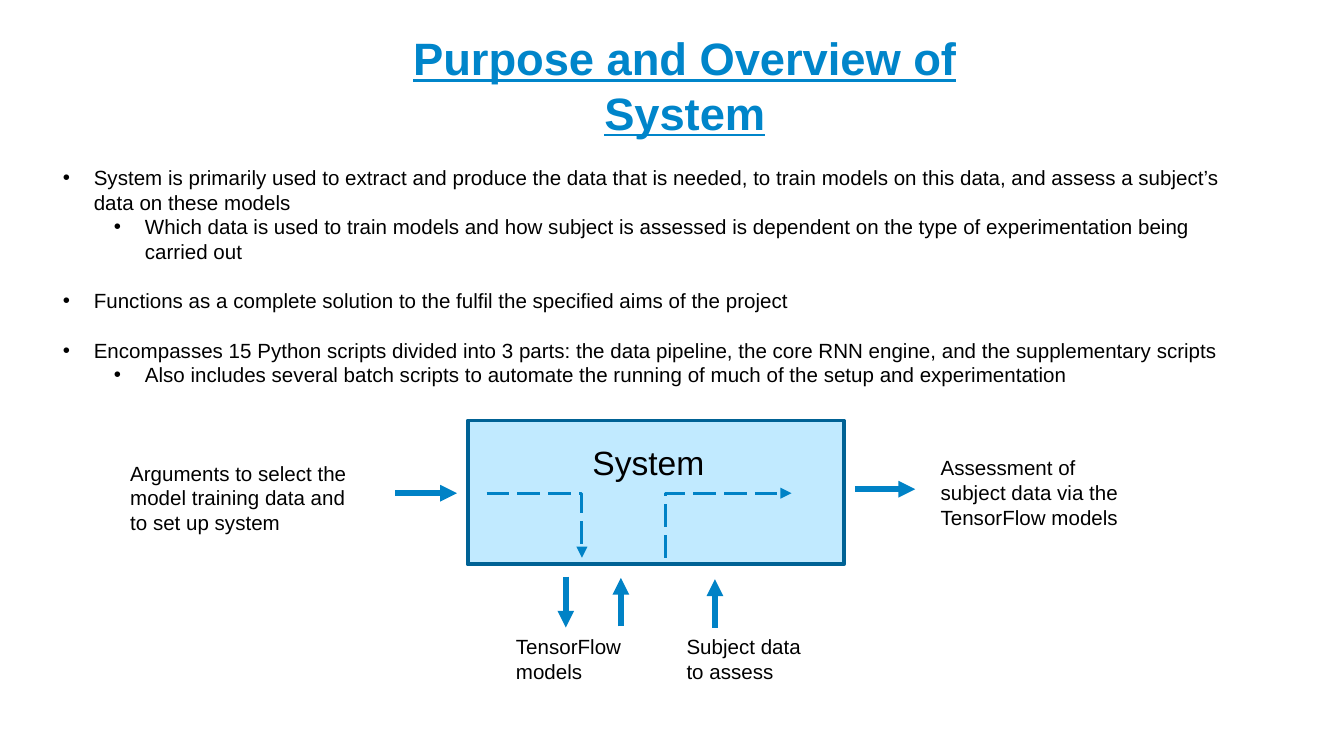
from lxml import etree
from pptx import Presentation
from pptx import util as u
from pptx.dml.color import RGBColor
from pptx.enum import dml, shapes, text
from pptx.oxml.ns import qn

BLACK = RGBColor(0x00, 0x00, 0x00)
TITLE_BLUE = RGBColor(0x00, 0x85, 0xCA)
ARROW_BLUE = RGBColor(0x00, 0x82, 0xC6)
BOX_FILL = RGBColor(0xC1, 0xEA, 0xFF)
BOX_EDGE = RGBColor(0x00, 0x62, 0x95)


class Deck:
    font = "Arial"
    body_size = 11

    def __init__(self, width, height):
        self.prs = Presentation()
        self.prs.slide_width = u.Inches(width)
        self.prs.slide_height = u.Inches(height)
        self.slide = self.prs.slides.add_slide(self.prs.slide_layouts[5])

    def run(self, paragraph, words, size, color=BLACK):
        run = paragraph.add_run()
        run.text = words
        run.font.name = self.font
        run.font.size = u.Pt(size)
        run.font.color.rgb = color
        return run

    def title(self, words, *box):
        title = self.slide.shapes.title
        title.left, title.top, title.width, title.height = map(u.Inches, box)
        frame = title.text_frame
        frame.margin_left = frame.margin_right = frame.margin_bottom = 0
        frame.margin_top = u.Inches(0.05)
        frame.vertical_anchor = text.MSO_ANCHOR.MIDDLE
        frame.auto_size = text.MSO_AUTO_SIZE.NONE
        frame.word_wrap = False
        frame.paragraphs[0].alignment = text.PP_ALIGN.CENTER
        run = self.run(frame.paragraphs[0], words, 24.3, TITLE_BLUE)
        run.font.bold = run.font.underline = True

    def frame(self, *box):
        frame = self.slide.shapes.add_textbox(*map(u.Inches, box)).text_frame
        frame.word_wrap = True
        return frame

    def label(self, words, *box, size=body_size):
        self.run(self.frame(*box).paragraphs[0], words, size)

    def bullets(self, items, *box):
        frame = self.frame(*box)
        for i, (level, gap, words) in enumerate(items):
            p = frame.paragraphs[0] if i == 0 else frame.add_paragraph()
            p.level = level
            p.space_before = u.Pt(gap)
            props = p._p.get_or_add_pPr()
            props.set("marL", str(u.Inches((0.23, 0.61)[level])))
            props.set("indent", str(u.Inches(-0.23)))
            etree.SubElement(props, qn("a:buFont"), typeface=self.font)
            etree.SubElement(props, qn("a:buChar"), char="•")
            self.run(p, words, self.body_size)

    def box(self, *box):
        shape = self.slide.shapes.add_shape(
            shapes.MSO_SHAPE.RECTANGLE, *map(u.Inches, box))
        shape.shadow.inherit = False
        shape.fill.solid()
        shape.fill.fore_color.rgb = BOX_FILL
        shape.line.color.rgb = BOX_EDGE
        shape.line.width = u.Pt(2)

    def arrow(self, *ends, bend=None):
        """Solid straight arrow, or a dashed elbow bending at a share of its width."""
        kind = shapes.MSO_CONNECTOR
        arrow = self.slide.shapes.add_connector(
            kind.STRAIGHT if bend is None else kind.ELBOW, *map(u.Inches, ends))
        arrow.line.color.rgb = ARROW_BLUE
        arrow.line.width = u.Pt(3 if bend is None else 1.5)
        props = arrow._element.spPr
        if bend is not None:
            arrow.line.dash_style = dml.MSO_LINE.LONG_DASH
            guides = props.find(qn("a:prstGeom")).get_or_add_avLst()
            etree.SubElement(guides, qn("a:gd"), name="adj1",
                             fmla=f"val {round(bend * 100000)}")
        etree.SubElement(arrow.line._get_or_add_ln(), qn("a:tailEnd"), type="triangle")
        etree.SubElement(props, qn("a:effectLst"))


# 16:9 page
deck = Deck(10, 10 * 9 / 16)
deck.title("Purpose and Overview of System", 2.43, 0.26, 5.33, 0.69)

# Purpose: level, space before in points, wording
LINE_GAP = 13.2
deck.bullets([
    (0, 0, "System is primarily used to extract and produce the data that is needed, "
           "to train models on this data, and assess a subject’s data on these models"),
    (1, 0, "Which data is used to train models and how subject is assessed is dependent "
           "on the type of experimentation being carried out"),
    (0, LINE_GAP, "Functions as a complete solution to the fulfil the specified aims "
                  "of the project"),
    (0, LINE_GAP, "Encompasses 15 Python scripts divided into 3 parts: the data pipeline, "
                  "the core RNN engine, and the supplementary scripts"),
    (1, 0, "Also includes several batch scripts to automate the running of much of "
           "the setup and experimentation"),
], 0.37, 1.18, 9, 1.77)

# System box
deck.box(3.48, 3.13, 2.8, 1.07)
deck.label("System", 4.31, 3.24, 1.14, 0.4, size=18)

# Inputs and outputs
deck.label("Arguments to select the model training data and to set up system",
           0.87, 3.38, 1.95, 0.66)
deck.label("TensorFlow models", 3.74, 4.67, 1.05, 0.47)
deck.label("Subject data to assess", 5.01, 4.67, 1.11, 0.47)
deck.label("Assessment of subject data via the TensorFlow models",
           6.9, 3.34, 1.69, 0.66)

# Flow into and out of the system
for flow in [
    (2.94, 3.67, 3.4, 3.67),
    (4.21, 4.29, 4.21, 4.67),
    (4.62, 4.66, 4.62, 4.3),
    (5.32, 4.67, 5.32, 4.31),
    (6.36, 3.64, 6.81, 3.64),
]:
    deck.arrow(*flow)

# Flow inside the system
deck.arrow(3.62, 3.67, 4.33, 4.15, bend=1)
deck.arrow(4.95, 4.15, 5.89, 3.67, bend=0)

deck.prs.save("out.pptx")
